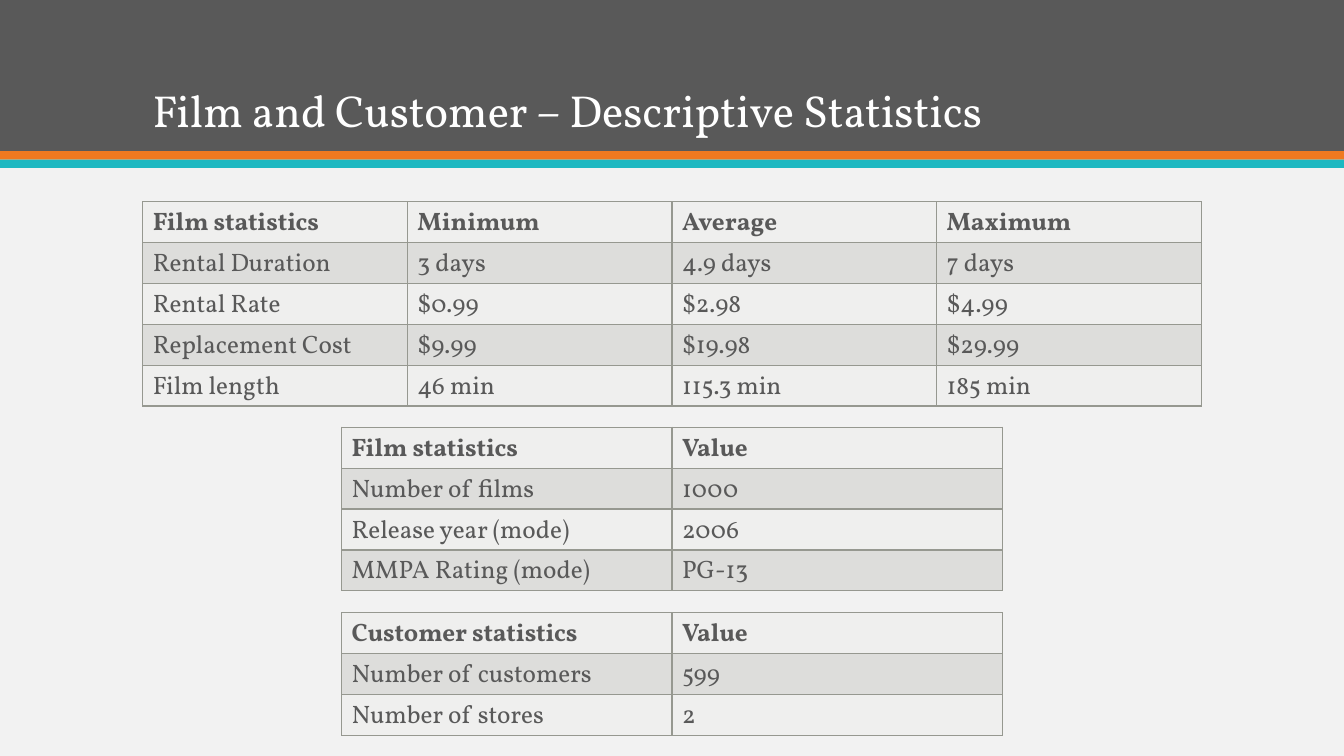
from dataclasses import dataclass

from lxml.etree import SubElement
from pptx import Presentation
from pptx.dml.color import RGBColor
from pptx.enum.shapes import MSO_SHAPE as Preset
from pptx.enum.text import MSO_ANCHOR as Anchor
from pptx.oxml.ns import qn
from pptx.slide import Slide
from pptx.table import _Cell as Cell
from pptx.text.text import _Paragraph as Paragraph
from pptx.util import Pt

PAGE_WIDTH, PAGE_HEIGHT = 960, 540
ROW_HEIGHT = 29.2
FONT = "Vollkorn"

GREY = RGBColor(0x59, 0x59, 0x59)
ORANGE = RGBColor(0xEF, 0x79, 0x20)
TEAL = RGBColor(0x1E, 0xB8, 0xC1)
PAPER = RGBColor(0xF2, 0xF2, 0xF2)
WHITE = RGBColor(0xFF, 0xFF, 0xFF)
BORDER = RGBColor(0x96, 0x98, 0x90)
ROW_FILLS = (RGBColor(0xEF, 0xEF, 0xEE), RGBColor(0xDD, 0xDD, 0xDB))


@dataclass(frozen=True)
class Band:
    top: float
    height: float
    colour: RGBColor


@dataclass(frozen=True)
class StatisticsTable:
    top: float
    width: float
    rows: tuple[tuple[str, ...], ...]


BANDS = (
    Band(0, 108, GREY),
    Band(108, 6, ORANGE),
    Band(114, 6, TEAL),
)

TABLES = (
    StatisticsTable(144, 756, (
        ("Film statistics", "Minimum", "Average", "Maximum"),
        ("Rental Duration", "3 days", "4.9 days", "7 days"),
        ("Rental Rate", "$0.99", "$2.98", "$4.99"),
        ("Replacement Cost", "$9.99", "$19.98", "$29.99"),
        ("Film length", "46 min", "115.3 min", "185 min"),
    )),
    StatisticsTable(305.2, 472, (
        ("Film statistics", "Value"),
        ("Number of films", "1000"),
        ("Release year (mode)", "2006"),
        ("MMPA Rating (mode)", "PG-13"),
    )),
    StatisticsTable(437.6, 472, (
        ("Customer statistics", "Value"),
        ("Number of customers", "599"),
        ("Number of stores", "2"),
    )),
)


def add_span(para: Paragraph, text: str, size: float, colour: RGBColor,
             bold: bool = False) -> None:
    span = para.add_run()
    span.text = text
    span.font.color.rgb = colour
    for name, value in {"name": FONT, "size": Pt(size), "bold": bold}.items():
        setattr(span.font, name, value)


def add_band(page: Slide, band: Band) -> None:
    box = page.shapes.add_shape(
        Preset.RECTANGLE, 0, Pt(band.top), Pt(PAGE_WIDTH), Pt(band.height))
    box.shadow.inherit = False
    box.fill.solid()
    box.fill.fore_color.rgb = band.colour
    box.line.fill.background()


def add_title(page: Slide, text: str) -> None:
    box = page.shapes.add_textbox(Pt(102), Pt(20), Pt(756), Pt(81.5))
    frame = box.text_frame
    for name, value in {"word_wrap": True, "vertical_anchor": Anchor.BOTTOM}.items():
        setattr(frame, name, value)
    para = frame.paragraphs[0]
    para.line_spacing = 0.9
    add_span(para, text, 32, WHITE)


def add_borders(cell: Cell) -> None:
    properties = cell._tc.get_or_add_tcPr()
    for side in ("lnL", "lnR", "lnT", "lnB"):
        line = SubElement(properties, qn(f"a:{side}"), w=str(Pt(1)))
        fill = SubElement(line, qn("a:solidFill"))
        SubElement(fill, qn("a:srgbClr"), val=str(BORDER))


def add_statistics(page: Slide, statistics: StatisticsTable) -> None:
    """Draw a table centred across the page, with alternating row fills."""
    row_count, column_count = len(statistics.rows), len(statistics.rows[0])
    left = (PAGE_WIDTH - statistics.width) / 2
    table = page.shapes.add_table(
        row_count, column_count, Pt(left), Pt(statistics.top),
        Pt(statistics.width), Pt(ROW_HEIGHT * row_count)).table
    for column in table.columns:
        column.width = Pt(statistics.width / column_count)
    for row_index, texts in enumerate(statistics.rows):
        table.rows[row_index].height = Pt(ROW_HEIGHT)
        for column_index, text in enumerate(texts):
            cell = table.cell(row_index, column_index)
            add_borders(cell)
            cell.fill.solid()
            cell.fill.fore_color.rgb = ROW_FILLS[row_index % 2]
            add_span(cell.text_frame.paragraphs[0], text, 18, GREY,
                     bold=row_index == 0)


def main() -> None:
    deck = Presentation()
    deck.slide_width, deck.slide_height = Pt(PAGE_WIDTH), Pt(PAGE_HEIGHT)
    page = deck.slides.add_slide(deck.slide_layouts[6])
    page.background.fill.solid()
    page.background.fill.fore_color.rgb = PAPER
    for band in BANDS:
        add_band(page, band)
    add_title(page, "Film and Customer – Descriptive Statistics")
    for statistics in TABLES:
        add_statistics(page, statistics)
    deck.save("out.pptx")


if __name__ == "__main__":
    main()
